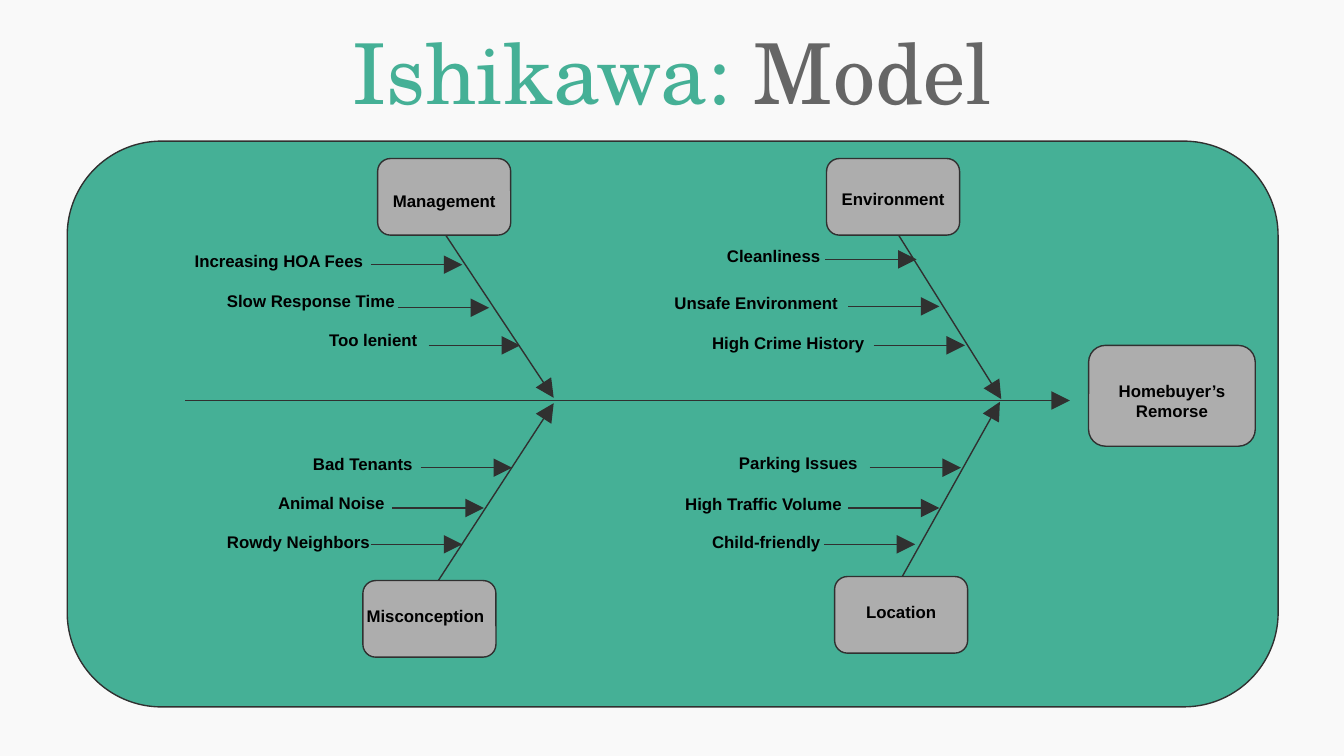
from lxml.etree import SubElement
from pptx import Presentation
from pptx.dml.color import RGBColor
from pptx.enum.shapes import MSO_CONNECTOR as Line, MSO_SHAPE as Shape
from pptx.enum.text import MSO_ANCHOR as Anchor, PP_ALIGN as Align
from pptx.oxml.ns import qn
from pptx.util import Inches, Pt

GREEN, GREY, INK = "45B096", "ADADAD", "303030"
BOX_W, BOX_H = 0.99, 0.57
ARROW_W = 0.68

# Content: box corner, name's box, bone, and causes as
# (text, label left, label top, label width, arrow left, arrow y)
TITLE = [("Ishikawa: ", GREEN), ("Model", "666666")]
EFFECT = "Homebuyer’s Remorse"
CATEGORIES = [
    dict(name="Management", box=(2.81, 1.18), label=(2.76, 1.33, 1.09),
         bone=(3.31, 1.74, 4.12, 2.96), causes=[
             ("Increasing HOA Fees", 1.35, 1.78, 1.56, 2.76, 1.97),
             ("Slow Response Time", 1.59, 2.08, 1.56, 2.96, 2.29),
             ("Too lenient", 2.35, 2.37, 0.87, 3.19, 2.57)]),
    dict(name="Environment", box=(6.15, 1.18), label=(6.15, 1.32, 0.99),
         bone=(6.68, 1.74, 7.45, 2.97), causes=[
             ("Cleanliness", 5.31, 1.74, 1.41, 6.14, 1.93),
             ("Unsafe Environment", 4.92, 2.09, 1.48, 6.31, 2.28),
             ("High Crime History", 5.2, 2.39, 1.41, 6.5, 2.57)]),
    dict(name="Misconception", box=(2.7, 4.32), label=(2.59, 4.42, 1.15),
         bone=(3.19, 4.43, 4.12, 3), causes=[
             ("Bad Tenants", 2.23, 3.29, 1.41, 3.13, 3.48),
             ("Animal Noise", 1.97, 3.58, 1.41, 2.92, 3.78),
             ("Rowdy Neighbors", 1.59, 3.87, 1.56, 2.76, 4.05)]),
    dict(name="Location", box=(6.21, 4.29), label=(6.27, 4.39, 0.87),
         bone=(6.68, 4.35, 7.44, 2.99), causes=[
             ("Parking Issues", 5.4, 3.28, 1.41, 6.47, 3.48),
             ("High Traffic Volume", 5, 3.59, 1.56, 6.31, 3.78),
             ("Child-friendly", 5.2, 3.87, 1.56, 6.13, 4.05)]),
]


def paint(target, colour):
    """Give a fill or line format a solid colour."""
    target.solid()
    target.fore_color.rgb = RGBColor.from_string(colour)


def set_frame(frame, margin_top=0.1):
    frame.word_wrap = True
    frame.vertical_anchor = Anchor.TOP
    frame.margin_left = frame.margin_right = Inches(0.1)
    frame.margin_top, frame.margin_bottom = Inches(margin_top), Inches(0.1)


def add_box(left, top, width, height, colour):
    box = slide.shapes.add_shape(
        Shape.ROUNDED_RECTANGLE, *map(Inches, (left, top, width, height)))
    box.shadow.inherit = False
    paint(box.fill, colour)
    paint(box.line.fill, INK)
    box.line.width = Pt(0.75)


def add_arrow(*ends):
    arrow = slide.shapes.add_connector(Line.STRAIGHT, *map(Inches, ends))
    paint(arrow.line.fill, INK)
    arrow.line.width = Pt(0.75)
    SubElement(arrow.line._get_or_add_ln(), qn("a:tailEnd"),
               type="triangle", w="lg", len="lg")
    SubElement(arrow._element.spPr, qn("a:effectLst"))


def add_label(text, left, top, width, height, align=Align.LEFT,
              margin_top=0.12):
    label = slide.shapes.add_textbox(
        *map(Inches, (left, top, width, height)))
    set_frame(label.text_frame, margin_top)
    paragraph = label.text_frame.paragraphs[0]
    paragraph.text = text
    paragraph.alignment = align
    paragraph.font.name, paragraph.font.size = "Arial", Pt(9)
    paragraph.font.bold = True
    paint(paragraph.font.fill, "000000")


prs = Presentation()
prs.slide_width = Inches(10)
prs.slide_height = prs.slide_width * 9 // 16
slide = prs.slides.add_slide(prs.slide_layouts[5])
paint(slide.background.fill, "F9F9F9")

# Title
title = slide.shapes.title
title.left, title.top, title.width, title.height = map(
    Inches, (0.34, 0.14, 9.32, 0.63))
set_frame(title.text_frame)
heading = title.text_frame.paragraphs[0]
heading.alignment = Align.CENTER
heading.line_spacing = 0.9
heading.font.name, heading.font.size = "TeX Gyre Schola", Pt(45)
for words, colour in TITLE:
    run = heading.add_run()
    run.text = words
    paint(run.font.fill, colour)

# Panel, spine and effect
add_box(0.5, 1.05, 9.01, 4.21, GREEN)
add_arrow(1.38, 2.98, 7.96, 2.98)
add_box(8.1, 2.57, 1.24, 0.75, GREY)
add_label(EFFECT, 8.1, 2.73, 1.24, 0.75, Align.CENTER, margin_top=0.1)

# Categories with their bones and causes
for category in CATEGORIES:
    add_arrow(*category["bone"])
    add_box(*category["box"], BOX_W, BOX_H, GREY)
    add_label(category["name"], *category["label"], 0.38, Align.CENTER)
    for cause, left, top, width, arrow_left, arrow_y in category["causes"]:
        add_label(cause, left, top, width, 0.19)
        add_arrow(arrow_left, arrow_y, arrow_left + ARROW_W, arrow_y)

prs.save("out.pptx")
